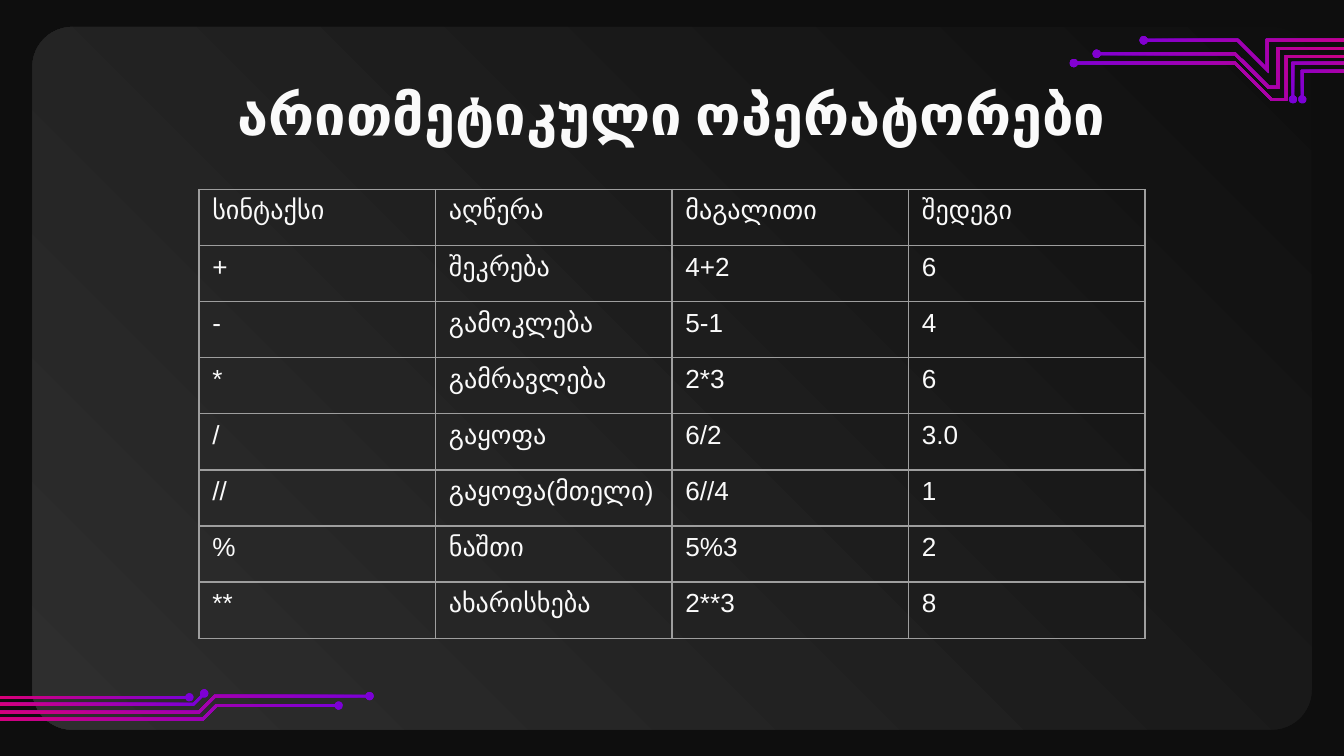
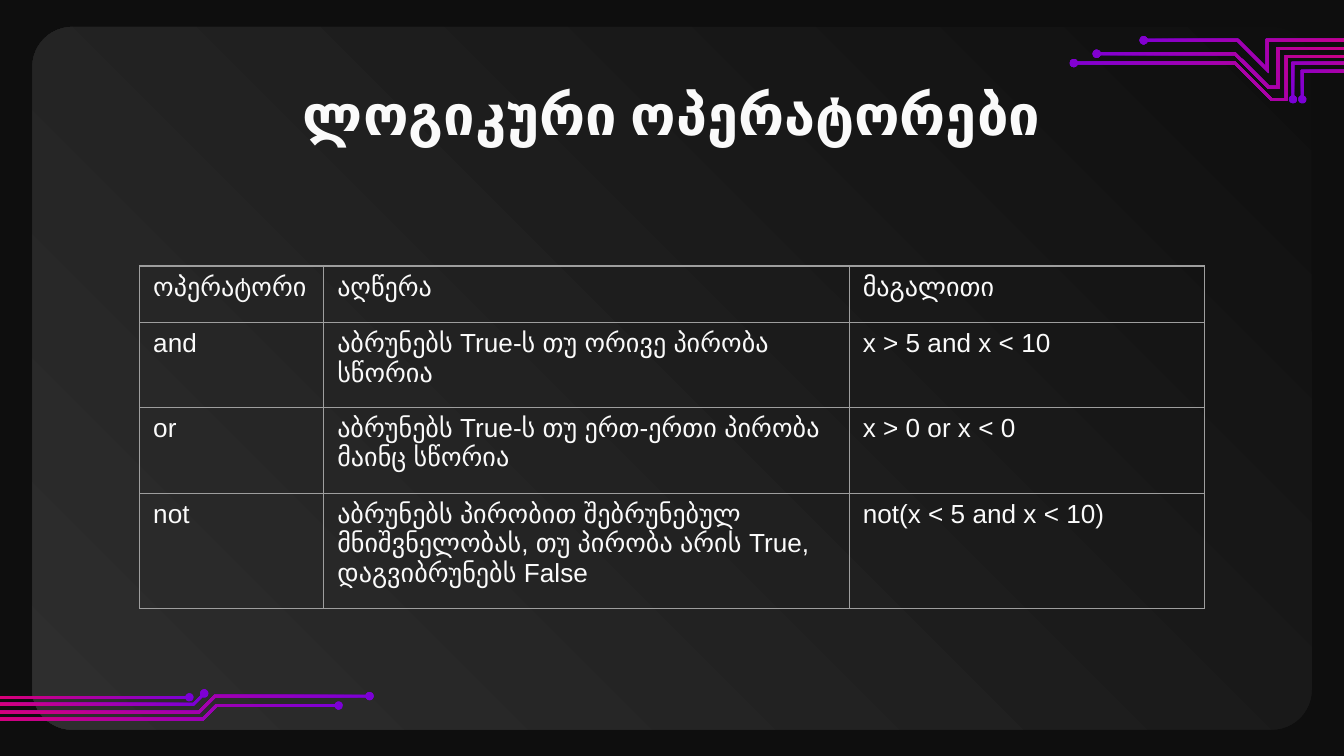
import math

from lxml import etree
from pptx import Presentation
from pptx.dml.color import RGBColor
from pptx.enum.shapes import MSO_SHAPE
from pptx.enum.text import MSO_ANCHOR, PP_ALIGN
from pptx.oxml.ns import qn
from pptx.util import Inches, Pt

ROUNDED = MSO_SHAPE.ROUNDED_RECTANGLE
TOP = MSO_ANCHOR.TOP
CENTER = PP_ALIGN.CENTER

BACKDROP = RGBColor(0x0E, 0x0E, 0x0E)
PANEL_DARK = RGBColor(0x0F, 0x0F, 0x0F)
PANEL_LIGHT = RGBColor(0x2E, 0x2E, 0x2E)
VIOLET = RGBColor(0x78, 0x00, 0xDA)
MAGENTA = RGBColor(0xDA, 0x00, 0x78)
WHITE = RGBColor(0xFA, 0xFA, 0xFA)
GRID = RGBColor(0x9E, 0x9E, 0x9E)

TITLE_FONT = "Lato"
BODY_FONT = "Arial"

PANEL_BOX = (0.24, 0.2, 9.52, 5.23)
TITLE_BOX = (0.79, 0.49, 8.42, 0.63)

TRACE_HALF = 0.01
DOT_RADIUS = 0.03
DOT_STEPS = 16

# Each trace runs from the centre of its dot to its far end, relative to the corner.
BOTTOM_CORNER = (0, 5.13)
BOTTOM_TRACES = [
    [(2.52, 0.12), (1.61, 0.12), (1.51, 0.22), (0, 0.22)],
    [(1.52, 0.03), (1.44, 0.11), (0, 0.11)],
    [(1.41, 0.06), (0, 0.06)],
    [(2.75, 0.05), (1.6, 0.05), (1.48, 0.17), (0, 0.17)],
]
TOP_CORNER = (7.96, 0.27)
TOP_TRACES = [
    [(1.73, 0.47), (1.73, 0.26), (2.52, 0.26)],
    [(1.66, 0.47), (1.66, 0.2), (2.52, 0.2)],
    [(0.55, 0.03), (1.25, 0.03), (1.47, 0.25), (1.47, 0.03), (2.52, 0.03)],
    [(0.03, 0.2), (1.23, 0.2), (1.5, 0.47), (1.61, 0.47), (1.61, 0.15), (2.52, 0.15)],
    [(0.2, 0.13), (1.23, 0.13), (1.48, 0.38), (1.55, 0.38), (1.55, 0.09), (2.52, 0.09)],
]

ARITHMETIC = [
    ("სინტაქსი", "აღწერა", "მაგალითი", "შედეგი"),
    ("+", "შეკრება", "4+2", "6"),
    ("-", "გამოკლება", "5-1", "4"),
    ("*", "გამრავლება", "2*3", "6"),
    ("/", "გაყოფა", "6/2", "3.0"),
    ("//", "გაყოფა(მთელი)", "6//4", "1"),
    ("%", "ნაშთი", "5%3", "2"),
    ("**", "ახარისხება", "2**3", "8"),
]
LOGICAL = [
    ("ოპერატორი", "აღწერა", "მაგალითი"),
    ("and", "აბრუნებს True-ს თუ ორივე პირობა სწორია", "x > 5 and x < 10"),
    ("or", "აბრუნებს True-ს თუ ერთ-ერთი პირობა მაინც სწორია", "x > 0 or x < 0"),
    ("not", "აბრუნებს პირობით შებრუნებულ მნიშვნელობას, თუ პირობა არის True, "
            "დაგვიბრუნებს False", "not(x < 5 and x < 10)"),
]


def style_text(para, font_name, size, bold=False):
    for span in para.runs:
        span.font.name = font_name
        span.font.size = Pt(size)
        span.font.bold = bold
        span.font.color.rgb = WHITE


def paint_gradient(shape, start, end, angle):
    """Fill with two colours; the angle is counter-clockwise."""
    shape.shadow.inherit = False
    shape.line.fill.background()
    shape.fill.gradient()
    shape.fill.gradient_angle = angle
    for stop, color in zip(shape.fill.gradient_stops, (start, end)):
        stop.color.rgb = color


def trace_outline(spine):
    """Outline of a thin band along the spine, with a round dot at its start."""
    headings = [math.atan2(y2 - y1, x2 - x1)
                for (x1, y1), (x2, y2) in zip(spine, spine[1:])]
    gap = math.asin(TRACE_HALF / DOT_RADIUS)
    sweep = 2 * math.pi - 2 * gap
    dot_x, dot_y = spine[0]
    outline = []
    for step in range(DOT_STEPS + 1):
        angle = headings[0] + gap + sweep * step / DOT_STEPS
        outline.append((dot_x + DOT_RADIUS * math.cos(angle),
                        dot_y + DOT_RADIUS * math.sin(angle)))

    near, far = [], []
    for index, (x, y) in enumerate(spine[1:], start=1):
        before = headings[index - 1]
        after = headings[min(index, len(headings) - 1)]
        reach = TRACE_HALF / (1 + math.cos(after - before))
        shift_x = -reach * (math.sin(before) + math.sin(after))
        shift_y = reach * (math.cos(before) + math.cos(after))
        near.append((x - shift_x, y - shift_y))
        far.append((x + shift_x, y + shift_y))
    return outline + near + far[::-1]


def add_circuit(page, corner, traces, angle):
    left, top = corner
    circuit = page.shapes.add_group_shape()
    for spine in traces:
        points = [(Inches(left + x), Inches(top + y)) for x, y in trace_outline(spine)]
        builder = circuit.shapes.build_freeform(*points[0])
        builder.add_line_segments(points[1:], close=True)
        paint_gradient(builder.convert_to_shape(), VIOLET, MAGENTA, angle)


def add_backdrop(page):
    page.background.fill.solid()
    page.background.fill.fore_color.rgb = BACKDROP
    panel = page.shapes.add_shape(ROUNDED, *map(Inches, PANEL_BOX))
    panel.adjustments[0] = 0.057
    paint_gradient(panel, PANEL_DARK, PANEL_LIGHT, 225)
    add_circuit(page, BOTTOM_CORNER, BOTTOM_TRACES, 135)
    add_circuit(page, TOP_CORNER, TOP_TRACES, 45)


def add_title(page, text):
    frame = page.shapes.add_textbox(*map(Inches, TITLE_BOX)).text_frame
    frame.word_wrap = True
    frame.vertical_anchor = TOP
    frame.margin_left = frame.margin_right = 0
    frame.margin_top = frame.margin_bottom = Inches(0.1)
    frame.text = text
    para = frame.paragraphs[0]
    para.alignment = CENTER
    style_text(para, TITLE_FONT, 30, bold=True)


def add_borders(cell):
    properties = cell._tc.get_or_add_tcPr()
    for side in ("a:lnL", "a:lnR", "a:lnT", "a:lnB"):
        line = etree.SubElement(properties, qn(side), w=str(Pt(0.75)))
        fill = etree.SubElement(line, qn("a:solidFill"))
        etree.SubElement(fill, qn("a:srgbClr"), val=str(GRID))


def add_grid(page, corner, widths, heights, rows):
    left, top = corner
    box = (left, top, sum(widths), sum(heights))
    table = page.shapes.add_table(len(rows), len(widths), *map(Inches, box)).table
    table.first_row = table.horz_banding = False
    for column, width in zip(table.columns, widths):
        column.width = Inches(width)
    for row, height, texts in zip(table.rows, heights, rows):
        row.height = Inches(height)
        for cell, text in zip(row.cells, texts):
            cell.margin_left = cell.margin_right = Inches(0.1)
            cell.margin_top = cell.margin_bottom = Inches(0.05)
            add_borders(cell)
            cell.fill.background()
            cell.text_frame.text = text
            style_text(cell.text_frame.paragraphs[0], BODY_FONT, 14)


def add_operator_slide(deck, title, corner, widths, heights, rows):
    page = deck.slides.add_slide(deck.slide_layouts[6])
    add_backdrop(page)
    add_title(page, title)
    add_grid(page, corner, widths, heights, rows)


def main():
    deck = Presentation()
    deck.slide_width = Inches(10)
    deck.slide_height = deck.slide_width * 9 // 16
    row_count = len(ARITHMETIC)
    add_operator_slide(deck, "არითმეტიკული ოპერატორები", (1.48, 1.41),
                       [1.76] * 4, [3.34 / row_count] * row_count, ARITHMETIC)
    add_operator_slide(deck, "ლოგიკური ოპერატორები", (1.04, 1.98),
                       [1.37, 3.91, 2.64], [0.42, 0.63, 0.64, 0.86], LOGICAL)
    deck.save("out.pptx")


if __name__ == "__main__":
    main()
